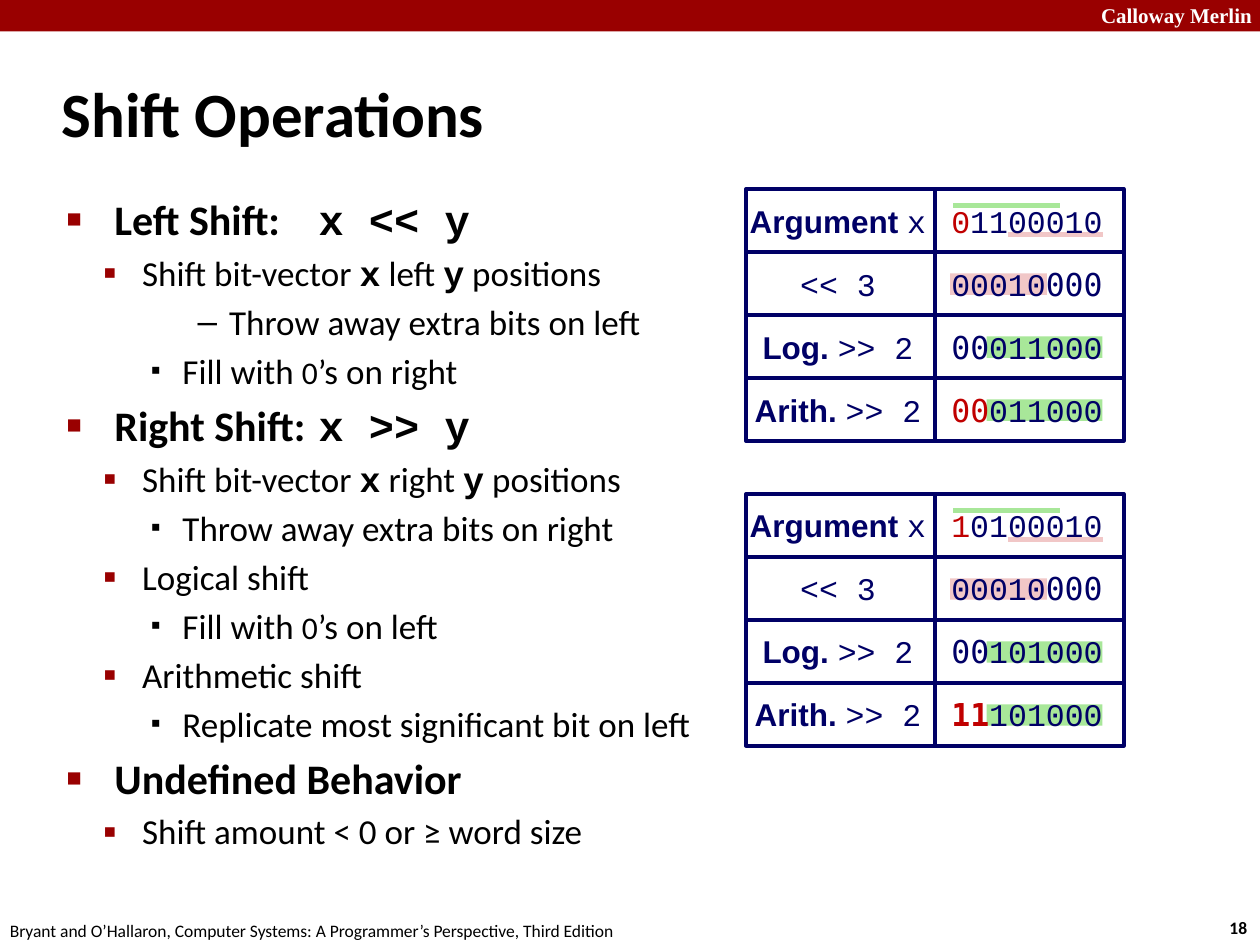
from dataclasses import dataclass

from lxml import etree
from pptx import Presentation
from pptx.dml.color import RGBColor
from pptx.enum.shapes import MSO_CONNECTOR, MSO_SHAPE
from pptx.enum.text import MSO_ANCHOR, MSO_AUTO_SIZE, PP_ALIGN
from pptx.oxml.ns import qn
from pptx.util import Inches, Pt

RECTANGLE = MSO_SHAPE.RECTANGLE
STRAIGHT = MSO_CONNECTOR.STRAIGHT
MIDDLE, TOP = MSO_ANCHOR.MIDDLE, MSO_ANCHOR.TOP
LEFT, CENTER = PP_ALIGN.LEFT, PP_ALIGN.CENTER
NO_AUTOSIZE = MSO_AUTO_SIZE.NONE

BLACK, WHITE, NAVY = "000000", "FFFFFF", "000066"
MAROON, RED, GREEN, PINK = "990000", "C00000", "A8E799", "F1C7C7"
SANS, COURIER, MONO, ARIAL, SERIF = (
    "Calibri", "Courier New", "DejaVu Sans Mono", "Arial", "Times New Roman")


@dataclass(frozen=True)
class Span:
    text: str
    font: str = SANS
    size: float = 20
    color: str = BLACK
    bold: bool = False


@dataclass(frozen=True)
class Level:
    margin: float
    hanging: float
    bullet: str
    percent: int
    color: str
    size: float


@dataclass(frozen=True)
class ShiftTable:
    top: float
    argument: tuple[str, str]
    kept: str
    arithmetic_fill: str
    arithmetic_bold: bool


LEVELS = (
    Level(0.38, 0.38, "■", 60, MAROON, 24),
    Level(0.6, 0.31, "▪", 110, MAROON, 20),
    Level(0.92, 0.25, "▪", 80, BLACK, 20),
    Level(1.29, 0.25, "–", 100, BLACK, 20),
)


def rgb(color: str) -> RGBColor:
    return RGBColor.from_string(color)


def write(para, spans, align=LEFT) -> None:
    para.alignment = align
    for span in spans:
        run = para.add_run()
        run.text = span.text
        run.font.name = span.font
        run.font.size = Pt(span.size)
        run.font.bold = span.bold
        run.font.color.rgb = rgb(span.color)


def add_text(page, left, top, width, height, spans=(), wrap=False):
    box = page.shapes.add_textbox(
        Inches(left), Inches(top), Inches(width), Inches(height))
    box.text_frame.word_wrap = wrap
    write(box.text_frame.paragraphs[0], spans)
    return box


def add_rectangle(page, left, top, width, height, fill=None, line=None):
    box = page.shapes.add_shape(
        RECTANGLE, Inches(left), Inches(top), Inches(width), Inches(height))
    box.shadow.inherit = False
    if fill:
        box.fill.solid()
        box.fill.fore_color.rgb = rgb(fill)
    else:
        box.fill.background()
    if line:
        box.line.color.rgb = rgb(line)
        box.line.width = Pt(2)
    else:
        box.line.fill.background()
    return box


def add_line(page, start, end, y, color) -> None:
    line = page.shapes.add_connector(
        STRAIGHT, Inches(start), Inches(y), Inches(end), Inches(y))
    line.line.color.rgb = rgb(color)
    line.line.width = Pt(3)
    etree.SubElement(line._element.spPr, qn("a:effectLst"))


def add_cell(page, left, top, spans) -> None:
    cell = add_rectangle(page, left, top, 1.5, 0.5, line=NAVY)
    frame = cell.text_frame
    frame.word_wrap = False
    frame.vertical_anchor = MIDDLE
    frame.margin_left = frame.margin_top = frame.margin_bottom = Inches(0.06)
    frame.margin_right = Inches(0.1)
    write(frame.paragraphs[0], spans, CENTER)


def code(text, font=COURIER, color=NAVY, bold=False) -> Span:
    return Span(text, font, 18, color, bold)


def add_shift_table(page, table: ShiftTable) -> None:
    # Highlights behind the bits
    for left, offset, width, color in (
            (7.54, 0.67, 0.77, PINK), (7.83, 1.17, 0.92, GREEN),
            (7.83, 1.67, 0.92, GREEN)):
        add_rectangle(page, left, table.top + offset, width, 0.17, fill=color)
    add_line(page, 8.75, 8, table.top + 0.36, PINK)
    add_line(page, 8.41, 7.56, table.top + 0.13, GREEN)

    # Rows of label and bits
    sign, rest = table.argument
    kept = code(table.kept)
    rows = (
        ("Argument ", "x", (code(sign, color=RED), code(rest))),
        ("", "<< 3", (code("00010"), code("000", MONO))),
        ("Log. ", ">> 2", (code("00", MONO), kept)),
        ("Arith. ", ">> 2", (code(table.arithmetic_fill, MONO, RED,
                                  table.arithmetic_bold), kept)),
    )
    for index, (name, operator, bits) in enumerate(rows):
        top = table.top + 0.5 * index
        label = [code(name, ARIAL, bold=True)] if name else []
        add_cell(page, 5.92, top, label + [code(operator)])
        add_cell(page, 7.42, top, bits)


def format_bullet(para, depth: int) -> None:
    level = LEVELS[depth]
    para.level = depth
    para.space_before = Pt(level.size * 0.2)
    props = para._p.get_or_add_pPr()
    props.set("marL", str(Inches(level.margin)))
    props.set("indent", str(-Inches(level.hanging)))
    color = etree.SubElement(props, qn("a:buClr"))
    etree.SubElement(color, qn("a:srgbClr"), val=level.color)
    etree.SubElement(props, qn("a:buSzPct"), val=str(level.percent * 1000))
    etree.SubElement(props, qn("a:buFont"), typeface=ARIAL)
    etree.SubElement(props, qn("a:buChar"), char=level.bullet)


def heading(text, expression="") -> tuple:
    spans = (Span(text, size=24, bold=True),)
    return spans + ((Span(expression, COURIER, 24, bold=True),) if expression else ())


def shift_rule(direction: str) -> tuple:
    return (Span("Shift bit-vector "), Span("x", COURIER, bold=True),
            Span(f" {direction} "), Span("y", COURIER, bold=True),
            Span(" positions"))


def zero_fill(side: str) -> tuple:
    return Span("Fill with "), Span("0", size=18), Span(f"’s on {side}")


OUTLINE = (
    (0, heading("Left Shift: \t", "x << y")),
    (1, shift_rule("left")),
    (3, (Span("Throw away extra bits on left"),)),
    (2, zero_fill("right")),
    (0, heading("Right Shift: \t", "x >> y")),
    (1, shift_rule("right")),
    (2, (Span("Throw away extra bits on right"),)),
    (1, (Span("Logical shift"),)),
    (2, zero_fill("left")),
    (1, (Span("Arithmetic shift"),)),
    (2, (Span("Replicate most significant bit on left"),)),
    (0, heading("Undefined Behavior")),
    (1, (Span("Shift amount < 0 or ≥ word size"),)),
)

deck = Presentation()
deck.slide_width, deck.slide_height = Inches(10), Inches(7.5)
page = deck.slides.add_slide(deck.slide_layouts[5])

# Header band and footer
add_rectangle(page, 0, 0, 10, 0.25, fill=MAROON)
add_text(page, 8.64, -0.03, 1.43, 0.3,
         [Span("Calloway Merlin", SERIF, 12, WHITE, True)])
add_text(page, 9.66, 7.23, 0.37, 0.27, [Span("18", size=10, bold=True)])
add_text(page, -0.02, 7.25, 5.08, 0.27, [Span(
    "Bryant and O’Hallaron, Computer Systems: A Programmer’s Perspective, "
    "Third Edition", size=10)])

# Title
title = page.shapes.title
title.left, title.top = Inches(0.39), Inches(0.48)
title.width, title.height = Inches(8.3), Inches(0.83)
title.text_frame.auto_size = NO_AUTOSIZE
title.text_frame.vertical_anchor = MIDDLE
write(title.text_frame.paragraphs[0],
      [Span("Shift Operations", size=36, bold=True)])

# Outline
body = add_text(page, 0.43, 1.49, 8.64, 5.44, wrap=True).text_frame
body.vertical_anchor = TOP
for index, (depth, spans) in enumerate(OUTLINE):
    para = body.add_paragraph() if index else body.paragraphs[0]
    write(para, spans)
    format_bullet(para, depth)

# Worked examples
for example in (
        ShiftTable(1.5, ("0", "1100010"), "011000", "00", False),
        ShiftTable(3.92, ("1", "0100010"), "101000", "11", True)):
    add_shift_table(page, example)

deck.save("out.pptx")
